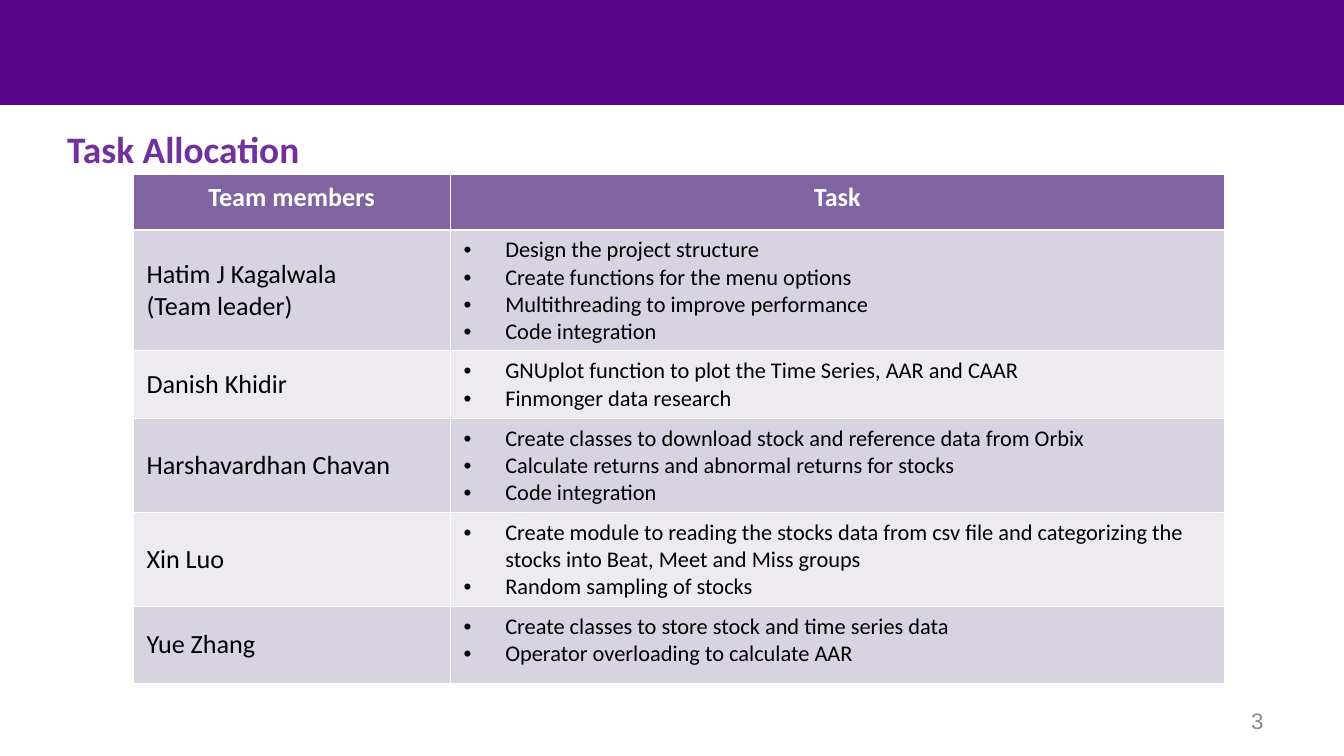
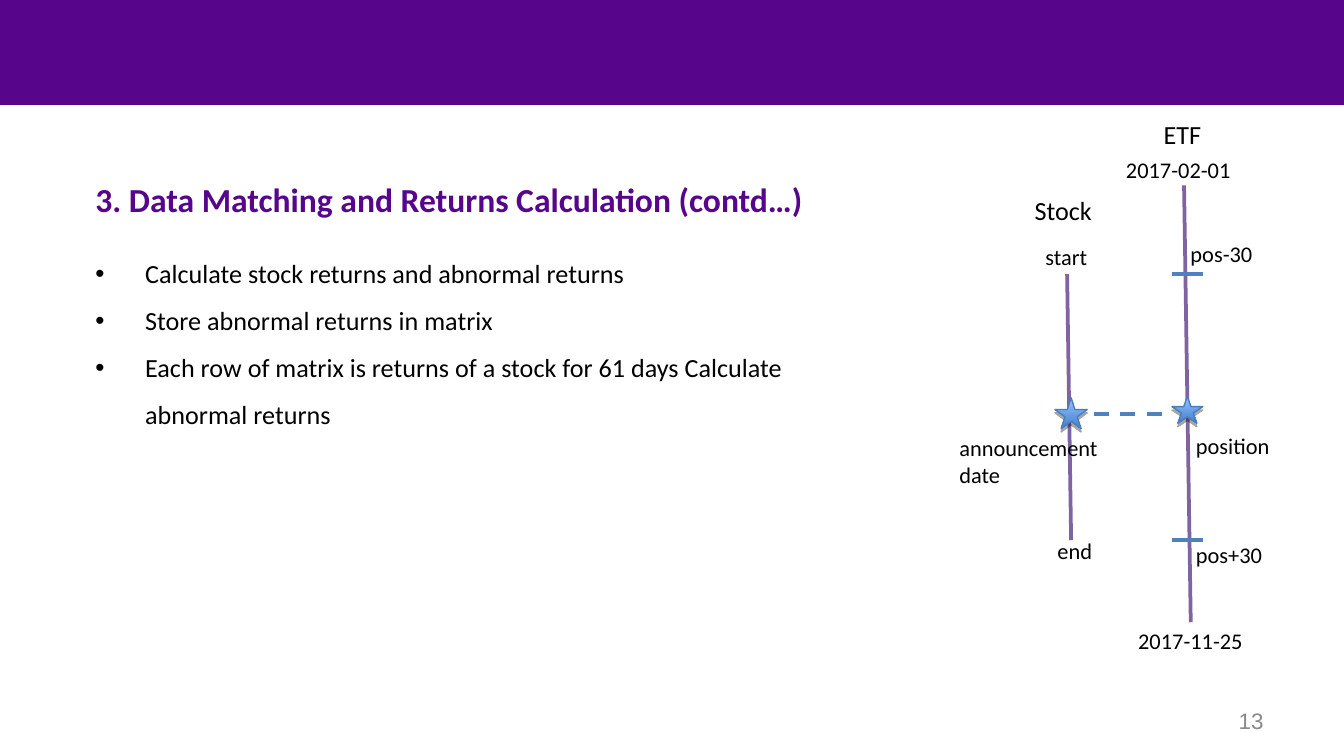
import pptx
import pptx.util
import pptx.dml.color
import pptx.enum.dml
import pptx.enum.shapes
import pptx.enum.text
import pptx.oxml
import pptx.oxml.ns

Inches = pptx.util.Inches
Pt = pptx.util.Pt
RGBColor = pptx.dml.color.RGBColor
ALIGN = pptx.enum.text.PP_ALIGN
ANCHOR = pptx.enum.text.MSO_ANCHOR
FIT = pptx.enum.text.MSO_AUTO_SIZE
SHAPE = pptx.enum.shapes.MSO_SHAPE

# Colours
BAND = RGBColor(0x57, 0x06, 0x8C)
PLUM = RGBColor(0x70, 0x30, 0xA0)
MAUVE = RGBColor(0x80, 0x64, 0xA2)
TINTS = RGBColor(0xD8, 0xD3, 0xE0), RGBColor(0xED, 0xEA, 0xF0)
BLUE = RGBColor(0x4F, 0x81, 0xBD)
EDGE = RGBColor(0x4A, 0x7E, 0xBB)
GLOW = RGBColor(0x9B, 0xC1, 0xFF), RGBColor(0x3F, 0x80, 0xCD)
GREY = RGBColor(0x89, 0x89, 0x89)
BLACK = RGBColor(0, 0, 0)
WHITE = RGBColor(255, 255, 255)

# Task table
HEADS = ["Team members", "Task"]
TEAM = [
    ("Hatim J Kagalwala\n(Team leader)",
     ["Design the project structure",
      "Create functions for the menu options",
      "Multithreading to improve performance",
      "Code integration"]),
    ("Danish Khidir",
     ["GNUplot function to plot the Time Series, AAR and CAAR",
      "Finmonger data research"]),
    ("Harshavardhan Chavan",
     ["Create classes to download stock and reference data from Orbix",
      "Calculate returns and abnormal returns for stocks",
      "Code integration"]),
    ("Xin Luo",
     ["Create module to reading the stocks data from csv file and "
      "categorizing the stocks into Beat, Meet and Miss groups",
      "Random sampling of stocks"]),
    ("Yue Zhang",
     ["Create classes to store stock and time series data",
      "Operator overloading to calculate AAR"]),
]
COLS = [2.36, 5.76]
ROWS = [0.41, 0.9, 0.5, 0.7, 0.7, 0.57]

# Returns list and timelines
STEPS = [
    "Calculate stock returns and abnormal returns",
    "Store abnormal returns in matrix",
    "Each row of matrix is returns of a stock for 61 days Calculate "
    "abnormal returns",
]
TICKS = [2.04, 4.02]
AXES = [(7.94, TICKS[0], 7.97, TICKS[1]), (8.81, 1.38, 8.86, 4.63)]
STARS = [(7.85, 2.96, 0.24, 0.23), (8.72, 2.95, 0.23, 0.2)]
LABELS = [  # text, left, top, width, height, size
    ("ETF", 8.56, 0.83, 0.55, 0.34, 14),
    ("Stock", 7.6, 1.4, 0.83, 0.34, 14),
    ("2017-02-01", 8.28, 1.11, 1.06, 0.3, 12),
    ("2017-11-25", 8.37, 4.62, 1.09, 0.3, 12),
    ("pos-30", 8.76, 1.74, 0.67, 0.3, 12),
    ("position", 8.8, 3.17, 0.83, 0.3, 12),
    ("pos+30", 8.8, 3.98, 0.77, 0.3, 12),
    ("start", 7.68, 1.76, 0.58, 0.3, 12),
    ("announcement date", 7.04, 3.18, 1.25, 0.5, 12),
    ("end", 7.77, 3.95, 0.6, 0.3, 12),
]


def style(frame, size, color, bold=False, align=ALIGN.LEFT, font="Calibri"):
    for para in frame.paragraphs:
        para.alignment = align
        for run in para.runs:
            run.font.name = font
            run.font.size = Pt(size)
            run.font.bold = bold
            run.font.color.rgb = color


def place(shape, *box):
    shape.left, shape.top, shape.width, shape.height = map(Inches, box)


def bare(frame):
    """Set a placeholder's text at its top left, at full size."""
    frame.margin_left = frame.margin_right = 0
    frame.margin_top = frame.margin_bottom = 0
    frame.vertical_anchor = ANCHOR.TOP
    frame.word_wrap = True
    frame.auto_size = FIT.NONE


def xml(tag, inner="", **attrs):
    text = "".join(f' {key}="{val}"' for key, val in attrs.items())
    space = pptx.oxml.ns.nsdecls("a")
    return pptx.oxml.parse_xml(f"<a:{tag} {space}{text}>{inner}</a:{tag}>")


def bullet(para, indent):
    props = para._p.get_or_add_pPr()
    props.set("marL", str(Inches(indent)))
    props.set("indent", str(-Inches(indent)))
    props.append(xml("buFont", typeface="Arial"))
    props.append(xml("buChar", char="•"))


def label(slide, text, box, size, color, **kind):
    shape = slide.shapes.add_textbox(*map(Inches, box))
    frame = shape.text_frame
    frame.word_wrap = True
    frame.text = text
    style(frame, size, color, **kind)
    return frame


def line(slide, ends, color, dash=False):
    link = slide.shapes.add_connector(
        pptx.enum.shapes.MSO_CONNECTOR.STRAIGHT, *map(Inches, ends))
    link.line.color.rgb = color
    link.line.width = Pt(2)
    if dash:
        link.line.dash_style = pptx.enum.dml.MSO_LINE.DASH
    link._element.spPr.append(xml("effectLst"))


def star(slide, box):
    shape = slide.shapes.add_shape(SHAPE.STAR_5_POINT, *map(Inches, box))
    shape.fill.gradient()
    shape.fill.gradient_angle = 270
    for pos, (stop, color) in enumerate(zip(shape.fill.gradient_stops, GLOW)):
        stop.color.rgb = color
        stop.position = pos
    shape.line.color.rgb = EDGE
    shape.line.width = Pt(0.75)
    shape.shadow.inherit = False
    effects = shape._element.spPr.find(pptx.oxml.ns.qn("a:effectLst"))
    shade = '<a:srgbClr val="000000"><a:alpha val="35000"/></a:srgbClr>'
    effects.append(xml("outerShdw", shade, blurRad=0, dist=Pt(1.8),
                       dir=5400000, rotWithShape=0))


def start(deck, layout, title, box, size, color, number):
    """Add a slide with its band, title and number."""
    slide = deck.slides.add_slide(deck.slide_layouts[layout])
    band = slide.shapes.add_shape(SHAPE.RECTANGLE, 0, 0, Inches(10.01),
                                  Inches(0.78))
    band.shadow.inherit = False
    band.fill.solid()
    band.fill.fore_color.rgb = BAND
    band.line.fill.background()
    head = slide.shapes.title
    place(head, *box)
    head.text_frame.text = title
    bare(head.text_frame)
    style(head.text_frame, size, color, bold=True)
    frame = label(slide, str(number), (7.17, 5.21, 2.33, 0.3), 12, GREY,
                  align=ALIGN.RIGHT, font="Arial")
    frame.vertical_anchor = ANCHOR.MIDDLE
    return slide


def paint(cell, color, row):
    """Give a cell white borders, thicker under the header, and a fill."""
    thick = {"T": row == 1, "B": row == 0}
    white = '<a:solidFill><a:srgbClr val="FFFFFF"/></a:solidFill>'
    for side in "LRTB":
        width = Pt(1.47 if thick.get(side) else 0.45)
        cell._tc.get_or_add_tcPr().append(xml("ln" + side, white, w=width))
    cell.fill.solid()
    cell.fill.fore_color.rgb = color


def tasks(deck):
    slide = start(deck, 5, "Task Allocation", (0.5, 0.94, 1.91, 0.36), 20,
                  PLUM, 3)
    table = slide.shapes.add_table(
        len(ROWS), len(COLS), Inches(0.99), Inches(1.3),
        Inches(sum(COLS)), Inches(sum(ROWS))).table
    for col, width in zip(table.columns, COLS):
        col.width = Inches(width)
    for row, height in zip(table.rows, ROWS):
        row.height = Inches(height)
    for col, text in enumerate(HEADS):
        cell = table.cell(0, col)
        cell.text_frame.text = text
        style(cell.text_frame, 14, WHITE, bold=True, align=ALIGN.CENTER)
        paint(cell, MAUVE, 0)
    for row, (name, jobs) in enumerate(TEAM, 1):
        who, what = table.cell(row, 0), table.cell(row, 1)
        who.text_frame.text = name
        who.vertical_anchor = ANCHOR.MIDDLE
        style(who.text_frame, 14, BLACK)
        what.text_frame.text = "\n".join(jobs)
        for para in what.text_frame.paragraphs:
            bullet(para, 0.31)
        style(what.text_frame, 12, BLACK)
        for cell in (who, what):
            paint(cell, TINTS[(row - 1) % 2], row)


def returns(deck):
    slide = start(deck, 1, "3. Data Matching and Returns Calculation (contd…)",
                  (0.71, 1.33, 5.49, 0.36), 18, BAND, 13)
    # Steps
    body = slide.placeholders[1]
    place(body, 0.71, 1.8, 5.49, 2.89)
    frame = body.text_frame
    frame.text = "\n".join(STEPS)
    bare(frame)
    for para in frame.paragraphs:
        bullet(para, 0.37)
        para.space_before = Pt(0)
        para.line_spacing = 1.5
    style(frame, 14, BLACK)
    # Timelines
    for ends in AXES:
        line(slide, ends, MAUVE)
    for y in TICKS:
        line(slide, (8.72, y, 8.95, y), BLUE)
    line(slide, (8.14, 3.08, 8.67, 3.08), BLUE, dash=True)
    for box in STARS:
        star(slide, box)
    for text, *box, size in LABELS:
        label(slide, text, box, size, BLACK).auto_size = FIT.SHAPE_TO_FIT_TEXT


def main():
    deck = pptx.Presentation()
    deck.slide_width = Inches(10)
    deck.slide_height = deck.slide_width * 9 // 16
    tasks(deck)
    returns(deck)
    deck.save("out.pptx")


if __name__ == "__main__":
    main()
